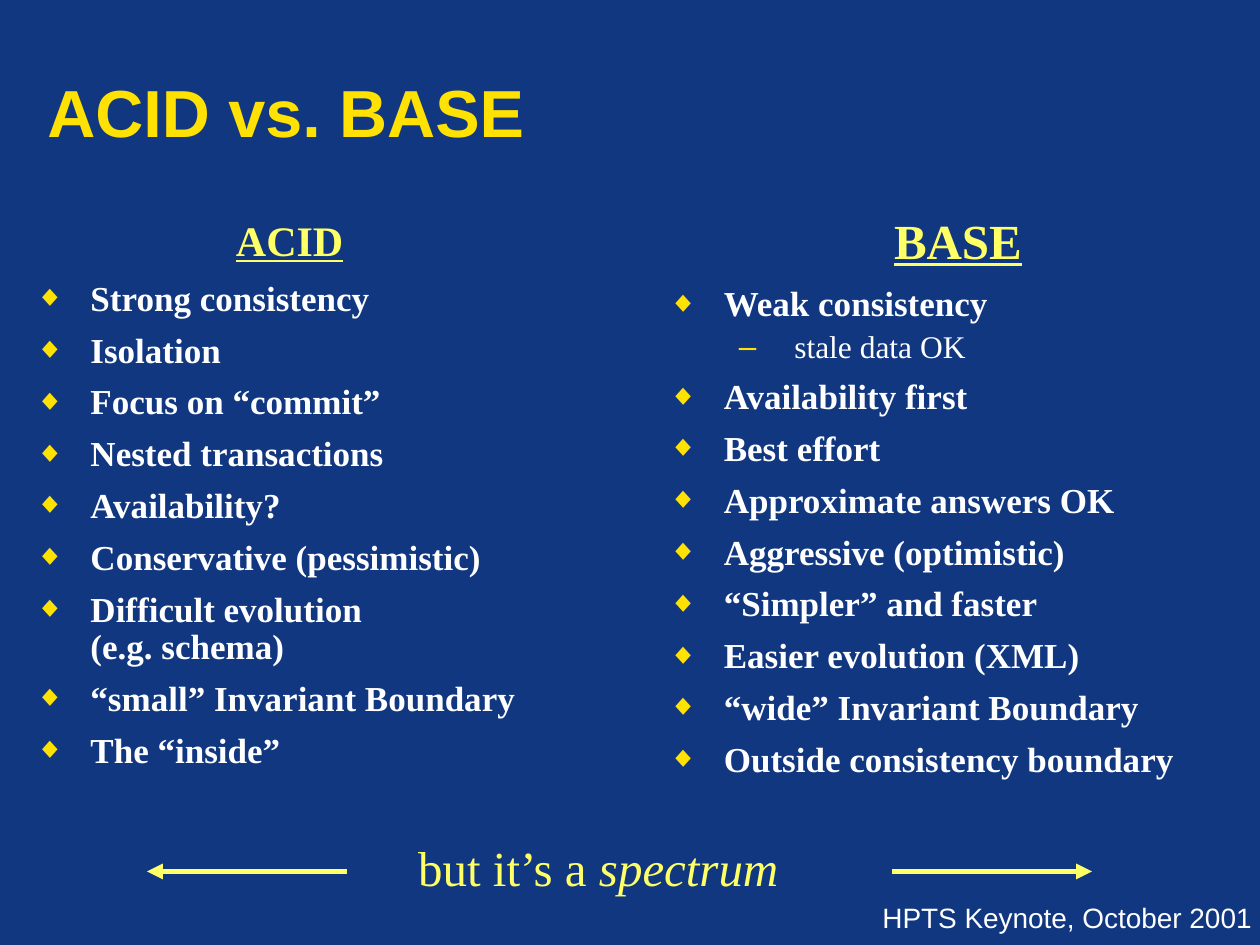
from lxml.etree import SubElement as Sub
from pptx import Presentation
from pptx.dml.color import RGBColor as RGB
from pptx.enum.shapes import MSO_CONNECTOR as Conn
from pptx.enum.text import MSO_ANCHOR as Anchor, MSO_AUTO_SIZE as Auto, PP_ALIGN as Align
from pptx.oxml.ns import qn
from pptx.util import Pt

SERIF = "Times New Roman"
GOLD, LEMON, WHITE = "FFE103", "FFFF66", "FFFFFF"


def tint(code):
    return RGB.from_string(code)


def add(par, text, size, code, face=SERIF, bold=False):
    run = par.add_run()
    run.text = text
    font = run.font
    font.name, font.size, font.bold = face, Pt(size), bold
    font.color.rgb = tint(code)
    return font


deck = Presentation()
deck.slide_width, deck.slide_height = Pt(720), Pt(540)
slide = deck.slides.add_slide(deck.slide_layouts[3])
fill = slide.background.fill
fill.solid()
fill.fore_color.rgb = tint("113781")

foot = slide.shapes.add_textbox(Pt(504), Pt(516.2), Pt(211.7), Pt(18))
frame = foot.text_frame
frame.margin_left = frame.margin_right = frame.margin_top = frame.margin_bottom = 0
frame.word_wrap = False
frame.vertical_anchor = Anchor.MIDDLE
par = frame.paragraphs[0]
par.alignment, par.line_spacing = Align.CENTER, 0.95
add(par, "HPTS Keynote, October 2001", 16, WHITE, "Arial")

title = slide.shapes.title
title.left, title.top, title.width, title.height = Pt(23.5), Pt(43), Pt(612), Pt(47.5)
frame = title.text_frame
frame.margin_left = frame.margin_right = frame.margin_top = frame.margin_bottom = Pt(3.6)
frame.vertical_anchor, frame.auto_size = Anchor.BOTTOM, Auto.NONE
par = frame.paragraphs[0]
par.alignment, par.line_spacing = Align.LEFT, 0.9
add(par, "ACID vs. BASE", 38, GOLD, "Arial", True)

lists = [
    (1, (4.2, 125.9, 314, 358), 0, "ACID", 24, [
        "Strong consistency", "Isolation", "Focus on “commit”",
        "Nested transactions", "Availability?", "Conservative (pessimistic)",
        "Difficult evolution\n(e.g. schema)", "“small” Invariant Boundary",
        "The “inside”"]),
    (2, (366.1, 108, 354, 379.4), 16, "BASE", 28, [
        "Weak consistency", "-stale data OK", "Availability first",
        "Best effort", "Approximate answers OK", "Aggressive (optimistic)",
        "“Simpler” and faster", "Easier evolution (XML)",
        "“wide” Invariant Boundary", "Outside consistency boundary"]),
]
for slot, area, inset, head, size, items in lists:
    body = slide.placeholders[slot]
    body.left, body.top, body.width, body.height = map(Pt, area)
    frame = body.text_frame
    frame.margin_top = Pt(inset)
    frame.vertical_anchor, frame.auto_size = Anchor.TOP, Auto.NONE
    par = frame.paragraphs[0]
    par.alignment, par.line_spacing = Align.CENTER, 0.9
    par.space_before, par.space_after = Pt(0), Pt(size * 0.2)
    prop = par._p.get_or_add_pPr()
    prop.set("marL", str(Pt(40.3)))
    prop.set("indent", str(Pt(-31.7)))
    Sub(prop, qn("a:buNone"))
    add(par, head, size, LEMON, bold=True).underline = True

    for item in items:
        minor = item.startswith("-")
        par = frame.add_paragraph()
        par.level = int(minor)
        par.alignment, par.line_spacing = Align.LEFT, 0.9
        par.space_before, par.space_after = Pt(0 if minor else 4), Pt(4)
        prop = par._p.get_or_add_pPr()
        prop.set("marL", str(Pt(80.6 if minor else 40.3)))
        prop.set("indent", str(Pt(-31.7)))
        Sub(Sub(prop, qn("a:buClr")), qn("a:srgbClr"), val=GOLD)
        Sub(prop, qn("a:buSzPct"), val="100000" if minor else "84000")
        Sub(prop, qn("a:buFont"), typeface="Arial" if minor else SERIF)
        Sub(prop, qn("a:buChar"), char="–" if minor else "◆")
        for row, line in enumerate(item.removeprefix("-").split("\n")):
            if row:
                par.add_line_break()
            add(par, line, 18 if minor else 20, WHITE, bold=not minor)

note = slide.shapes.add_textbox(Pt(203.8), Pt(475.2), Pt(249.8), Pt(41))
frame = note.text_frame
frame.word_wrap = True
frame.margin_left, frame.margin_right = Pt(35.2), 0
par = frame.paragraphs[0]
add(par, "but it’s a ", 28, LEMON)
add(par, "spectrum", 28, LEMON).italic = True

for start, end in [(198, 84), (510, 624)]:
    arrow = slide.shapes.add_connector(Conn.STRAIGHT, Pt(start), Pt(498), Pt(end), Pt(498))
    arrow.line.color.rgb = tint(LEMON)
    arrow.line.width = Pt(3)
    Sub(arrow.line._get_or_add_ln(), qn("a:tailEnd"), type="triangle")
    Sub(arrow._element.spPr, qn("a:effectLst"))

deck.save("out.pptx")
